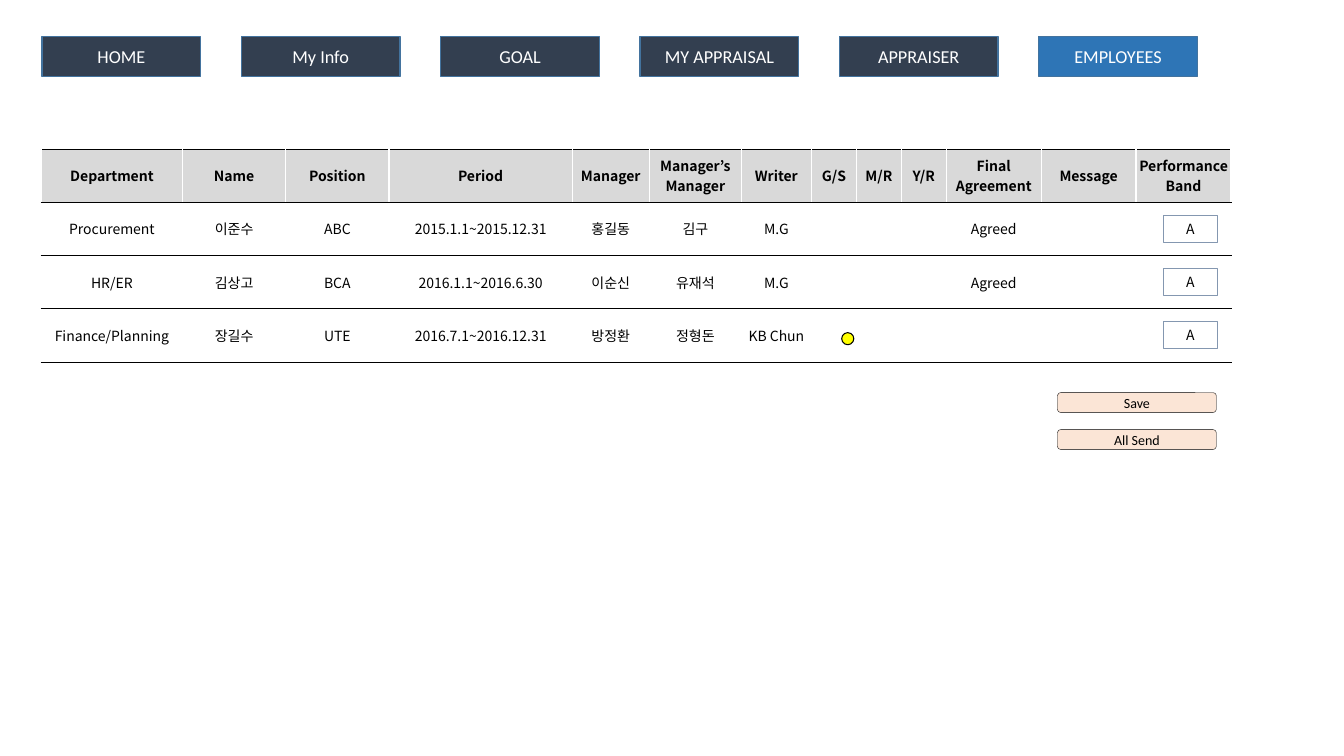
from dataclasses import dataclass

from lxml import etree
from pptx import Presentation
from pptx import util as u
from pptx.dml.color import RGBColor
from pptx.enum import shapes, text
from pptx.oxml import ns

# Grid: 160 columns by 90 rows of equal squares
SLIDE_WIDTH, SLIDE_HEIGHT = u.Inches(13.33), u.Inches(7.5)
COLUMN, ROW = SLIDE_WIDTH / 160, SLIDE_HEIGHT / 90
RECT = shapes.MSO_SHAPE.RECTANGLE
ROUNDED = shapes.MSO_SHAPE.ROUNDED_RECTANGLE
OVAL = shapes.MSO_SHAPE.OVAL
LATIN, KOREAN = "Calibri", "Noto Sans CJK KR"
COLORS = {
    "navy": "333F50", "active": "2E75B6", "nav_edge": "43739E",
    "header": "D9D9D9", "band_edge": "8497B0", "peach": "FBE5D6",
    "yellow": "FFFF00", "black": "000000", "white": "FFFFFF",
}


@dataclass
class Control:
    label: str
    left: float
    top: float
    width: float
    height: float
    fill: str | None
    edge: str
    edge_width: float = 0.75
    kind: int = RECT
    font: str = LATIN
    size: float = 10
    ink: str = "black"


def across(columns: float) -> int:
    return round(columns * COLUMN)


def down(rows: float) -> int:
    return round(rows * ROW)


def color(key: str) -> RGBColor:
    return RGBColor.from_string(COLORS[key])


def write(frame, label: str, font: str, size: float, ink: str, bold: bool = False) -> None:
    frame.text = label
    for paragraph in frame.paragraphs:
        paragraph.alignment = text.PP_ALIGN.CENTER
        for run in paragraph.runs:
            run.font.size, run.font.bold = u.Pt(size), bold
            run.font.color.rgb = color(ink)
            run.font.name = font
            east_asian = etree.SubElement(run.font._element, ns.qn("a:ea"))
            east_asian.set("typeface", font)


def draw_control(slide, control: Control) -> None:
    shape = slide.shapes.add_shape(
        control.kind, across(control.left), down(control.top),
        across(control.width), down(control.height))
    shape.shadow.inherit = False
    if control.fill:
        shape.fill.solid()
        shape.fill.fore_color.rgb = color(control.fill)
    else:
        shape.fill.background()
    shape.line.color.rgb = color(control.edge)
    shape.line.width = u.Pt(control.edge_width)
    if control.label:
        frame = shape.text_frame
        frame.margin_left = frame.margin_right = across(0.24)
        frame.margin_top = frame.margin_bottom = 0
        frame.vertical_anchor = text.MSO_ANCHOR.MIDDLE
        write(frame, control.label, control.font, control.size, control.ink)


def set_borders(cell) -> None:
    properties = cell._tc.get_or_add_tcPr()
    sides = (("L", "white", 1), ("R", "white", 1), ("T", "black", 0.25), ("B", "black", 0.25))
    for index, (side, key, width) in enumerate(sides):
        line = etree.Element(ns.qn(f"a:ln{side}"), w=str(u.Pt(width)))
        solid = etree.SubElement(line, ns.qn("a:solidFill"))
        etree.SubElement(solid, ns.qn("a:srgbClr"), val=COLORS[key])
        properties.insert(index, line)


def draw_table(slide, rows: list[list[str]], widths: list[float], left: float,
               top: float, row_height: float) -> None:
    table = slide.shapes.add_table(
        len(rows), len(widths), across(left), down(top),
        across(sum(widths)), down(row_height * len(rows))).table
    table.first_row = table.horz_banding = False
    for column, width in zip(table.columns, widths):
        column.width = across(width)
    for index, labels in enumerate(rows):
        table.rows[index].height = down(row_height)
        for cell, label in zip(table.rows[index].cells, labels):
            if index == 0:
                cell.fill.solid()
                cell.fill.fore_color.rgb = color("header")
            else:
                cell.fill.background()
            cell.margin_left = cell.margin_right = across(0.24)
            cell.vertical_anchor = text.MSO_ANCHOR.MIDDLE
            write(cell.text_frame, label, KOREAN, 10, "black", bold=index == 0)
            set_borders(cell)


# Content
MENU = ["HOME", "My Info", "GOAL", "MY APPRAISAL", "APPRAISER", "EMPLOYEES"]
ACTIVE_MENU = "EMPLOYEES"
COLUMN_WIDTHS = [16.8, 12.3, 12.3, 21.8, 9.2, 10.95, 8.35] + [5.35] * 3 + [11.3] * 3
EMPLOYEES = [
    ["Department", "Name", "Position", "Period", "Manager", "Manager’s Manager", "Writer",
     "G/S", "M/R", "Y/R", "Final\nAgreement", "Message", "Performance Band"],
    ["Procurement", "이준수", "ABC", "2015.1.1~2015.12.31", "홍길동", "김구", "M.G",
     "", "", "", "Agreed", "", ""],
    ["HR/ER", "김상고", "BCA", "2016.1.1~2016.6.30", "이순신", "유재석", "M.G",
     "", "", "", "Agreed", "", ""],
    ["Finance/Planning", "장길수", "UTE", "2016.7.1~2016.12.31", "방정환", "정형돈", "KB Chun",
     "", "", "", "", "", ""],
]
TABLE_TOP, TABLE_ROW = 17.76, 6.33


def main() -> None:
    deck = Presentation()
    deck.slide_width, deck.slide_height = SLIDE_WIDTH, SLIDE_HEIGHT
    slide = deck.slides.add_slide(deck.slide_layouts[6])

    # Navigation bar
    for index, label in enumerate(MENU):
        fill = "active" if label == ACTIVE_MENU else "navy"
        draw_control(slide, Control(
            label, 5 + 23.73 * index, 4.38, 18.9, 4.7, fill, "nav_edge", 1,
            size=13, ink="white"))

    # Employee table
    draw_table(slide, EMPLOYEES, COLUMN_WIDTHS, 4.92, TABLE_TOP, TABLE_ROW)

    # Goal status marker and performance bands
    draw_control(slide, Control("", 100.2, 39.6, 1.44, 1.44, "yellow", "black", kind=OVAL))
    for index in range(1, len(EMPLOYEES)):
        draw_control(slide, Control(
            "A", 138.5, TABLE_TOP + TABLE_ROW * index + 1.55, 6.4, 3.25,
            None, "band_edge", font=KOREAN))

    # Action buttons
    for index, label in enumerate(["Save", "All Send"]):
        draw_control(slide, Control(
            label, 125.9, 46.75 + 4.4 * index, 18.9, 2.35, "peach", "black", 0.25, ROUNDED))

    deck.save("out.pptx")


if __name__ == "__main__":
    main()
